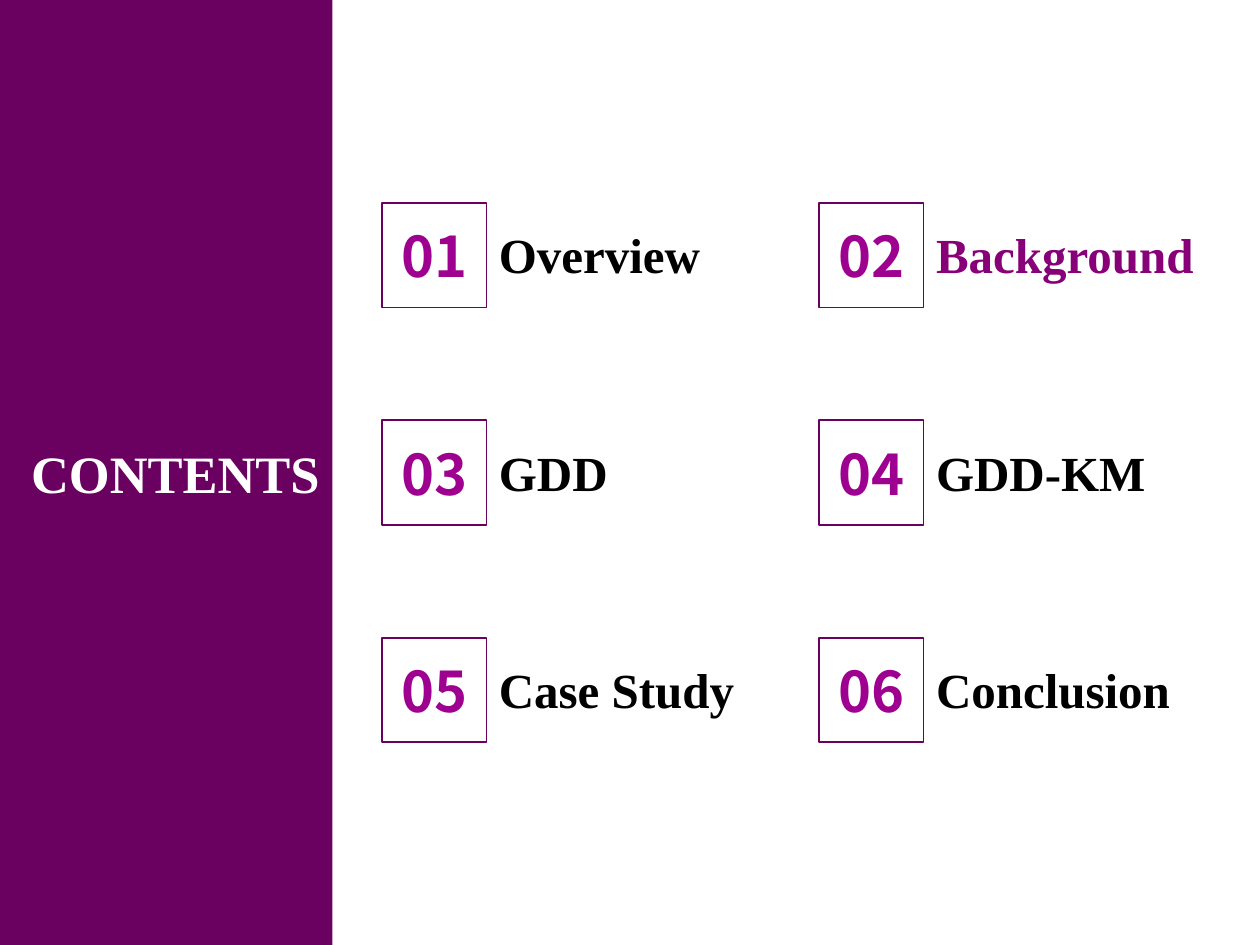
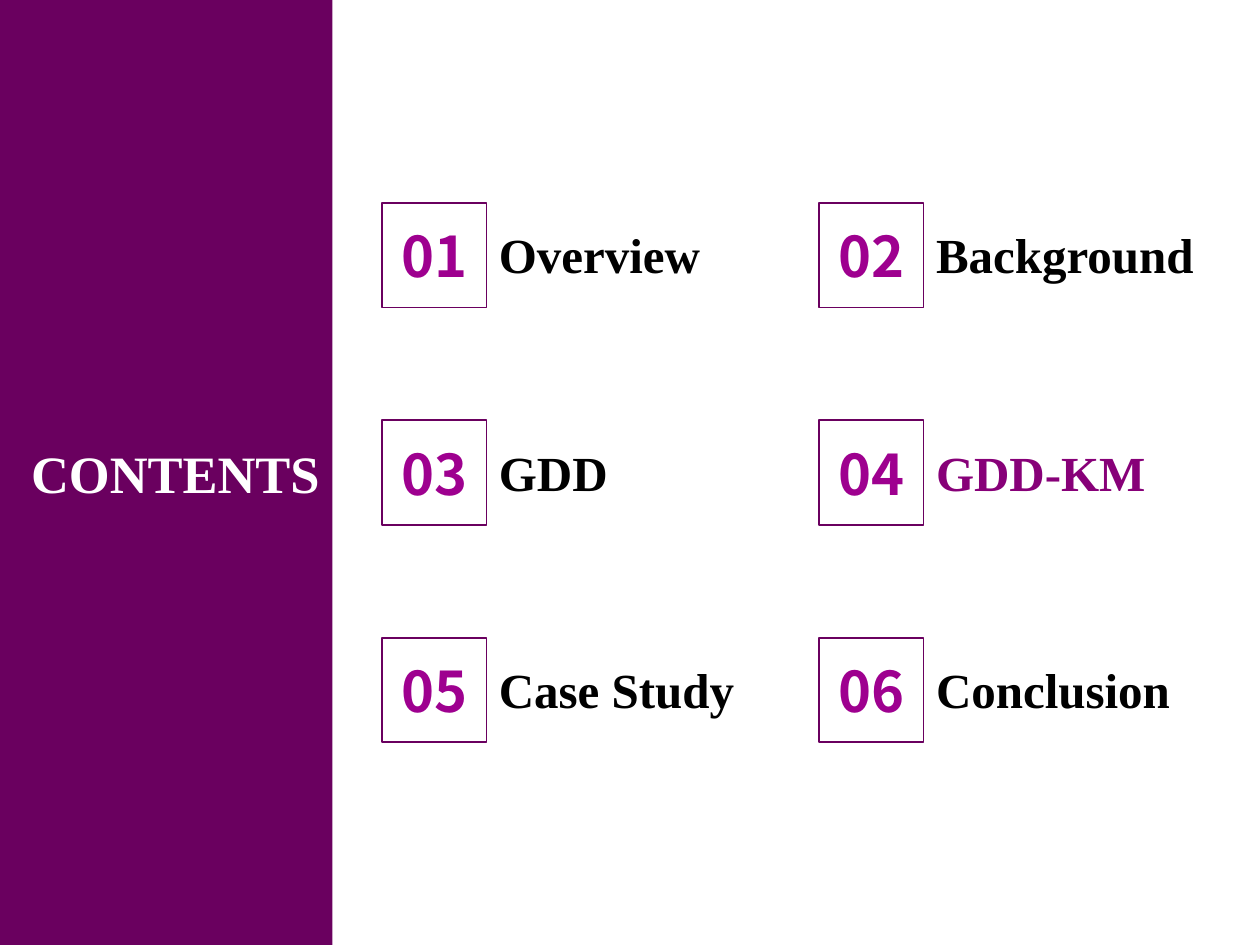
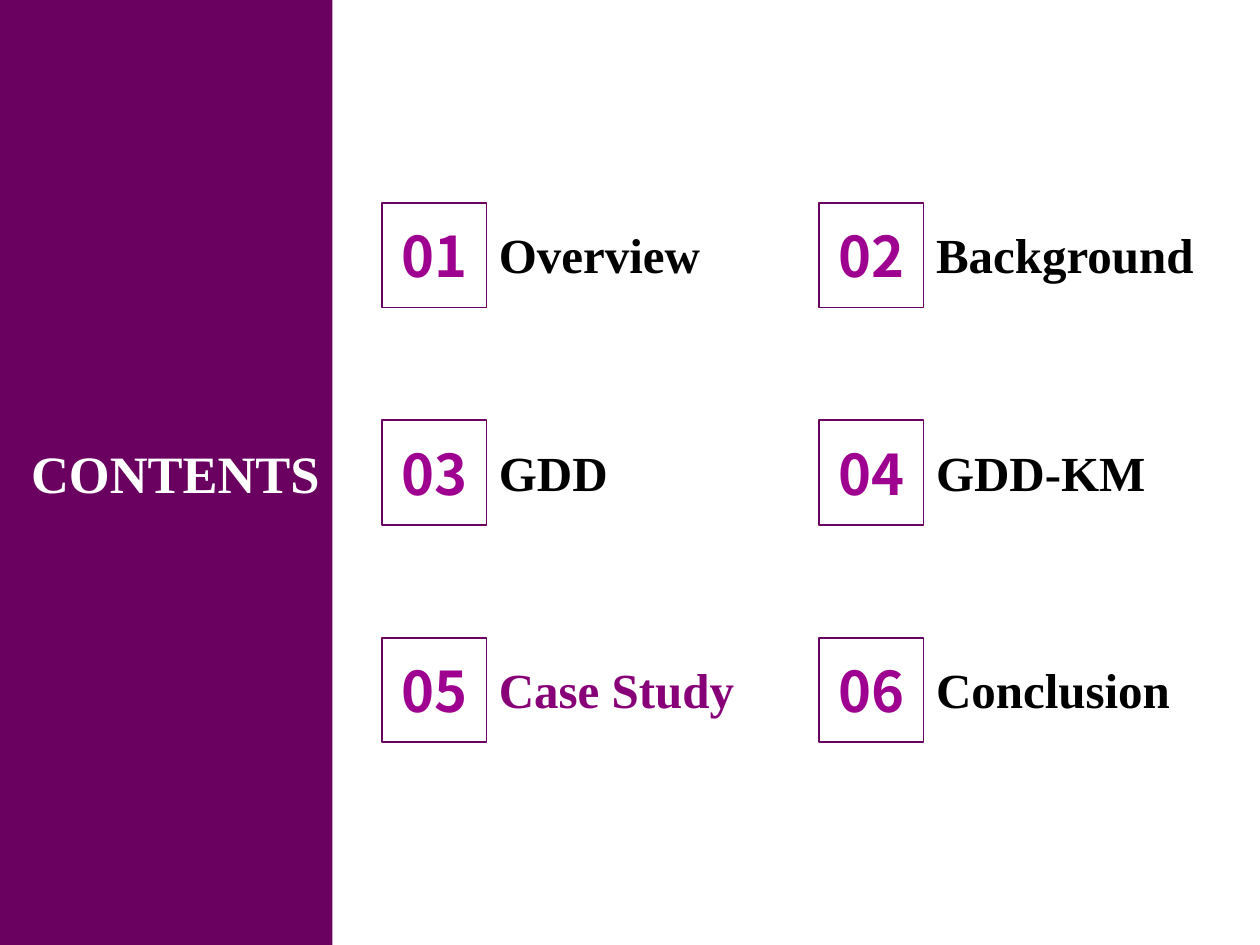
from dataclasses import dataclass

from pptx import Presentation
from pptx.dml.color import RGBColor
from pptx.enum import shapes, text
from pptx.shapes.autoshape import Shape
from pptx.slide import Slide
from pptx.util import Pt

SLIDE_WIDTH, SLIDE_HEIGHT = 720, 540
BAND_WIDTH = 190
GRID_LEFT, GRID_TOP = 218.2, 116
COLUMN_PITCH, ROW_PITCH = 249.8, 124.2
COLUMNS = 2
FRAME_SIZE = 59.8
LABEL_WIDTH, LABEL_HEIGHT = 162, 41
NUMBER_HEIGHT = 46

PURPLE = "6A005F"
NUMBER_COLOR = "9E008F"
ACTIVE_COLOR = "870078"
BLACK = "000000"
WHITE = "FFFFFF"
SERIF = "Times New Roman"
SANS = "Noto Sans CJK SC"

TOPICS = ["Overview", "Background", "GDD", "GDD-KM", "Case Study", "Conclusion"]
ACTIVE_TOPICS = ["Background", "GDD-KM", "Case Study"]


@dataclass(frozen=True)
class Entry:
    index: int
    topic: str

    @property
    def number(self) -> str:
        return f"{self.index + 1:02d}"

    @property
    def left(self) -> float:
        return GRID_LEFT + self.index % COLUMNS * COLUMN_PITCH

    @property
    def top(self) -> float:
        return GRID_TOP + self.index // COLUMNS * ROW_PITCH


def color(value: str) -> RGBColor:
    return RGBColor.from_string(value)


def bounds(left: float, top: float, width: float, height: float) -> tuple:
    return Pt(left), Pt(top), Pt(width), Pt(height)


def write(box: Shape, content: str, *, size: float, font: str = SERIF,
          fill: str = BLACK, align=text.PP_ALIGN.LEFT,
          anchor=text.MSO_ANCHOR.TOP) -> None:
    frame = box.text_frame
    frame.word_wrap = True
    frame.auto_size = text.MSO_AUTO_SIZE.SHAPE_TO_FIT_TEXT
    frame.vertical_anchor = anchor
    para = frame.paragraphs[0]
    para.alignment = align
    span = para.add_run()
    span.text = content
    span.font.name = font
    span.font.size = Pt(size)
    span.font.bold = True
    span.font.color.rgb = color(fill)


def add_rectangle(parent, area: tuple, fill: str | None = None,
                  line: str | None = None) -> Shape:
    box = parent.shapes.add_shape(shapes.MSO_SHAPE.RECTANGLE, *area)
    box.shadow.inherit = False
    if fill:
        box.fill.solid()
        box.fill.fore_color.rgb = color(fill)
    else:
        box.fill.background()
    if line:
        box.line.color.rgb = color(line)
        box.line.width = Pt(1)
    else:
        box.line.fill.background()
    return box


def add_title_band(page: Slide) -> None:
    band = add_rectangle(page, bounds(0, 0, BAND_WIDTH, SLIDE_HEIGHT), fill=PURPLE)
    title = page.shapes.title
    title.left, title.top, title.width, title.height = bounds(0, 248.4, BAND_WIDTH, 44)
    write(title, "CONTENTS", size=30, fill=WHITE, align=text.PP_ALIGN.RIGHT)
    title.element.addprevious(band.element)


def add_entry(page: Slide, entry: Entry, active: bool) -> None:
    group = page.shapes.add_group_shape()
    label = group.shapes.add_textbox(
        *bounds(entry.left + FRAME_SIZE, entry.top + 9, LABEL_WIDTH, LABEL_HEIGHT))
    write(label, entry.topic, size=28, fill=ACTIVE_COLOR if active else BLACK)
    number = group.shapes.add_textbox(
        *bounds(entry.left, entry.top + (FRAME_SIZE - NUMBER_HEIGHT) / 2,
                FRAME_SIZE, NUMBER_HEIGHT))
    write(number, entry.number, size=32, font=SANS, fill=NUMBER_COLOR,
          align=text.PP_ALIGN.CENTER, anchor=text.MSO_ANCHOR.MIDDLE)
    add_rectangle(group, bounds(entry.left, entry.top, FRAME_SIZE, FRAME_SIZE),
                  line=PURPLE)


def add_contents(deck, active_topic: str) -> None:
    page = deck.slides.add_slide(deck.slide_layouts.get_by_name("Title Only"))
    add_title_band(page)
    for index, topic in enumerate(TOPICS):
        add_entry(page, Entry(index, topic), topic == active_topic)


deck = Presentation()
deck.slide_width, deck.slide_height = Pt(SLIDE_WIDTH), Pt(SLIDE_HEIGHT)
for active_topic in ACTIVE_TOPICS:
    add_contents(deck, active_topic)
deck.save("out.pptx")
